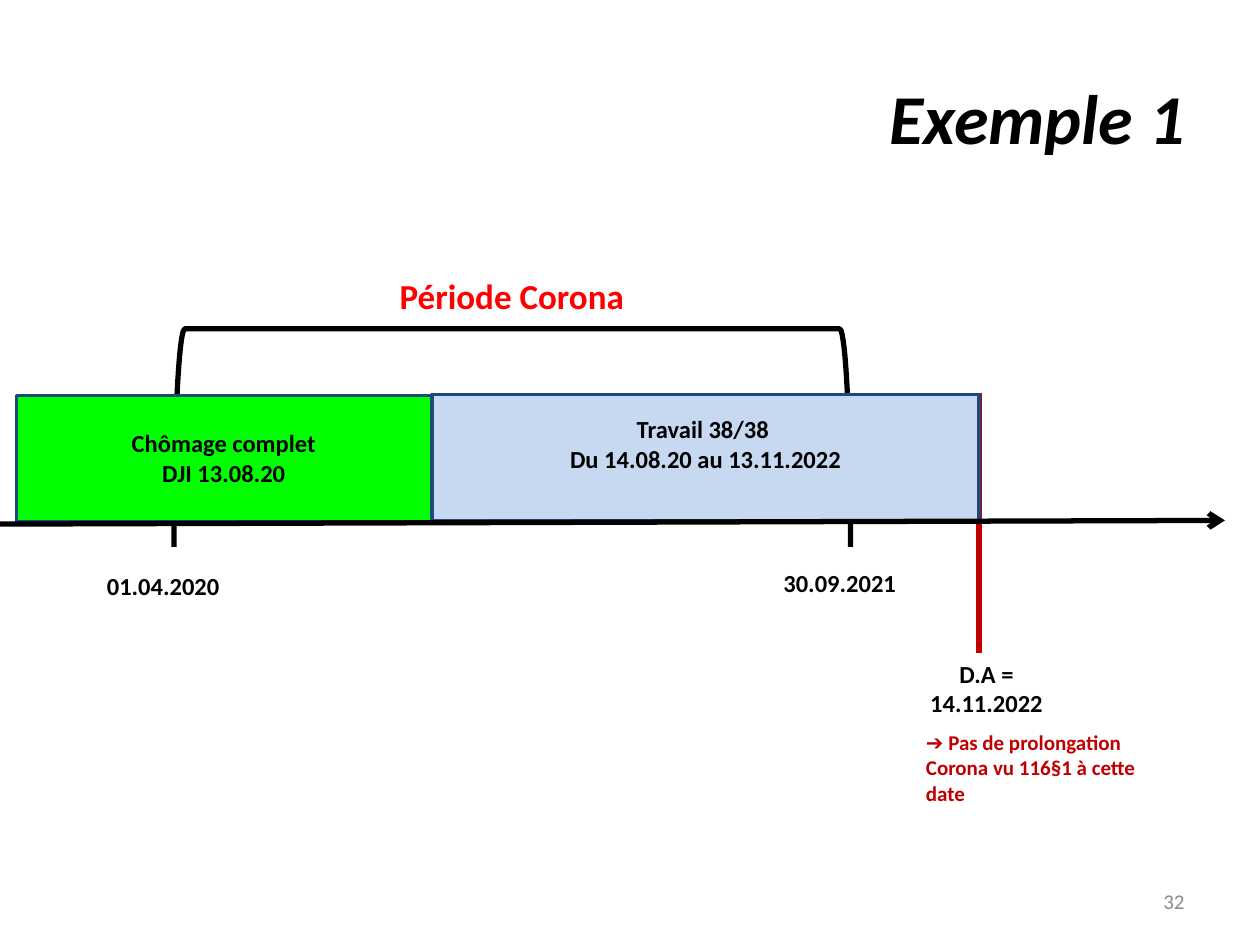
from dataclasses import dataclass

from lxml import etree
from pptx import Presentation
from pptx import util as u
from pptx.dml.color import RGBColor
from pptx.enum import shapes, text
from pptx.oxml import ns


@dataclass(frozen=True)
class Theme:
    font: str = "Calibri"
    ink: str = "000000"
    corona: str = "FF0000"
    request: str = "C00000"
    unemployment: str = "00FF00"
    work: str = "C6D9F1"
    border: str = "1F497D"
    muted: str = "8C8C8C"
    title_size: int = 40
    heading_size: int = 20
    label_size: int = 14
    small_size: int = 12
    border_width: int = 2
    line_width: int = 3


THEME = Theme()
LEFT, CENTER, RIGHT = text.PP_ALIGN.LEFT, text.PP_ALIGN.CENTER, text.PP_ALIGN.RIGHT


def points(*values):
    return [u.Pt(value) for value in values]


def set_line(line, color, width):
    line.color.rgb = RGBColor.from_string(color)
    line.width = u.Pt(width)


def add_label(slide, box, lines, size=THEME.label_size, color=THEME.ink, align=CENTER,
              bold=True, italic=False, anchor=text.MSO_ANCHOR.TOP):
    frame = slide.shapes.add_textbox(*points(*box)).text_frame
    frame.word_wrap = True
    frame.vertical_anchor = anchor
    frame.text = "\n".join(lines)
    for paragraph in frame.paragraphs:
        paragraph.alignment = align
        font = paragraph.font
        font.name, font.size = THEME.font, u.Pt(size)
        font.bold, font.italic = bold, italic
        font.color.rgb = RGBColor.from_string(color)


def add_period(slide, box, fill):
    period = slide.shapes.add_shape(shapes.MSO_SHAPE.RECTANGLE, *points(*box))
    period.shadow.inherit = False
    period.fill.solid()
    period.fill.fore_color.rgb = RGBColor.from_string(fill)
    set_line(period.line, THEME.border, THEME.border_width)


def add_bracket(slide, box):
    bracket = slide.shapes.add_shape(shapes.MSO_SHAPE.LEFT_BRACKET, *points(*box))
    bracket.rotation = 90
    bracket.adjustments[0] = 0.05
    bracket.shadow.inherit = False
    bracket.fill.background()
    set_line(bracket.line, THEME.ink, THEME.line_width)


def add_rule(slide, ends, color, arrow=False):
    rule = slide.shapes.add_connector(shapes.MSO_CONNECTOR.STRAIGHT, *points(*ends))
    set_line(rule.line, color, THEME.line_width)
    if arrow:
        etree.SubElement(rule.line._get_or_add_ln(), ns.qn("a:tailEnd"), type="arrow")
    etree.SubElement(rule._element.spPr, ns.qn("a:effectLst"))


def main():
    deck = Presentation()
    deck.slide_width, deck.slide_height = points(720, 540)
    slide = deck.slides.add_slide(deck.slide_layouts[6])
    middle = text.MSO_ANCHOR.MIDDLE
    start, work_start, request = 9.4, 247, 559.5

    add_rule(slide, (request, 224.6, request, 373), THEME.request)
    add_bracket(slide, (230.4, 56.9, 124.6, 386.6))
    add_period(slide, (start, 226, work_start - start, 72), THEME.unemployment)
    add_label(slide, (36, 21.6, 648, 90), ["Exemple 1"], THEME.title_size,
              align=RIGHT, italic=True, anchor=middle)
    add_label(slide, (516, 500.5, 168, 28.8), ["32"], THEME.small_size, THEME.muted,
              RIGHT, bold=False, anchor=middle)
    add_period(slide, (work_start, 225.4, request - work_start, 72), THEME.work)
    add_rule(slide, (0, 299.5, 700, 297.4), THEME.ink, arrow=True)

    add_label(slide, (200, 153.4, 185, 31.5), ["Période Corona"],
              THEME.heading_size, THEME.corona)
    add_label(slide, (306.7, 233.3, 193, 58.3),
              ["Travail 38/38 ", "Du 14.08.20 au 13.11.2022"])
    add_label(slide, (34.6, 241.2, 186.5, 41), ["Chômage complet", "DJI 13.08.20"])
    for left, top, date in ((54, 322.9, "01.04.2020"), (440.6, 321.1, "30.09.2021")):
        add_label(slide, (left, top, 81.4, 24.2), [date], align=LEFT)
    add_label(slide, (522, 373, 83.5, 41), ["D.A = 14.11.2022"])
    add_label(slide, (522, 413.5, 149.8, 51),
              ["➔ Pas de prolongation Corona vu 116§1 à cette date"],
              THEME.small_size, THEME.request, LEFT)

    deck.save("out.pptx")


if __name__ == "__main__":
    main()
